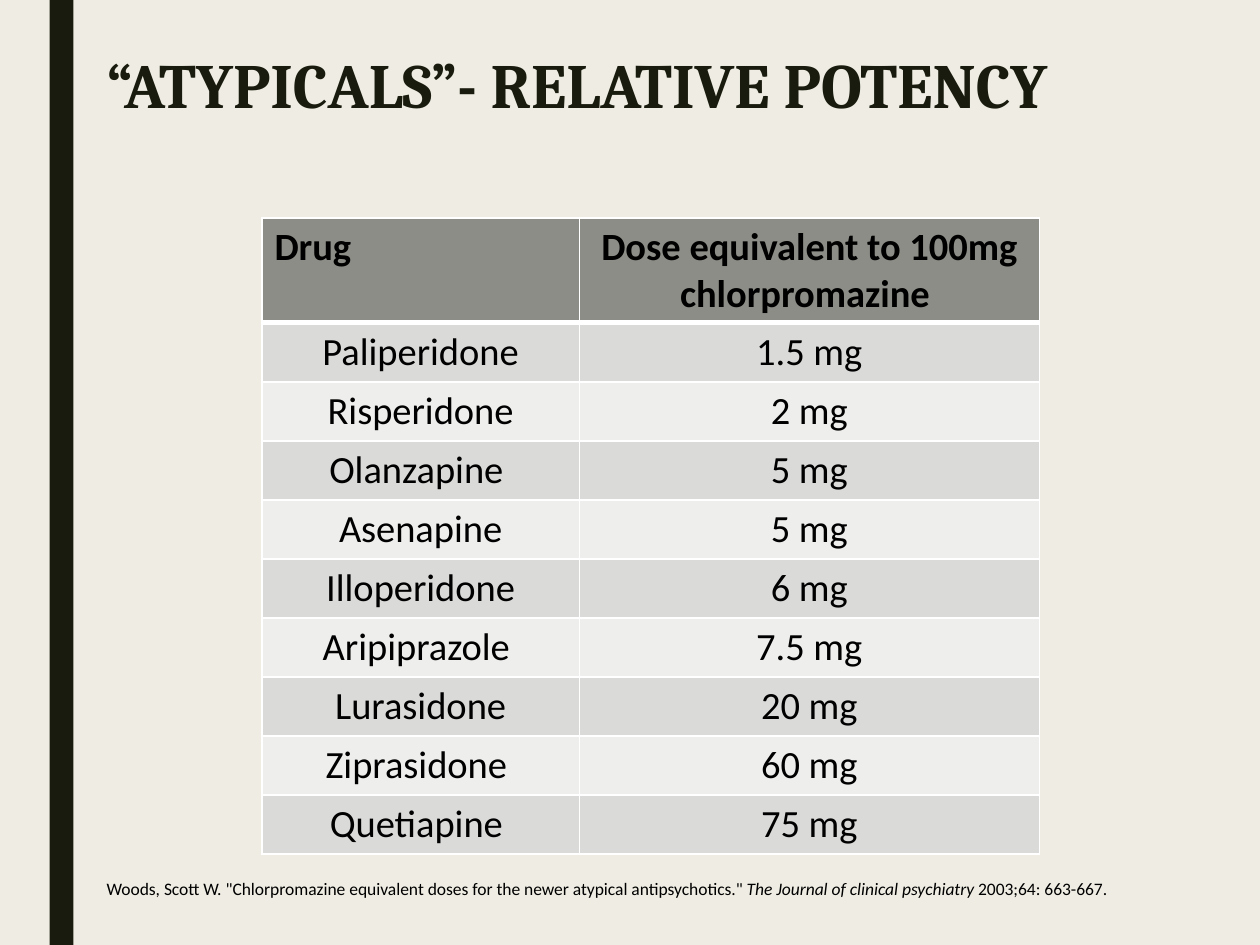
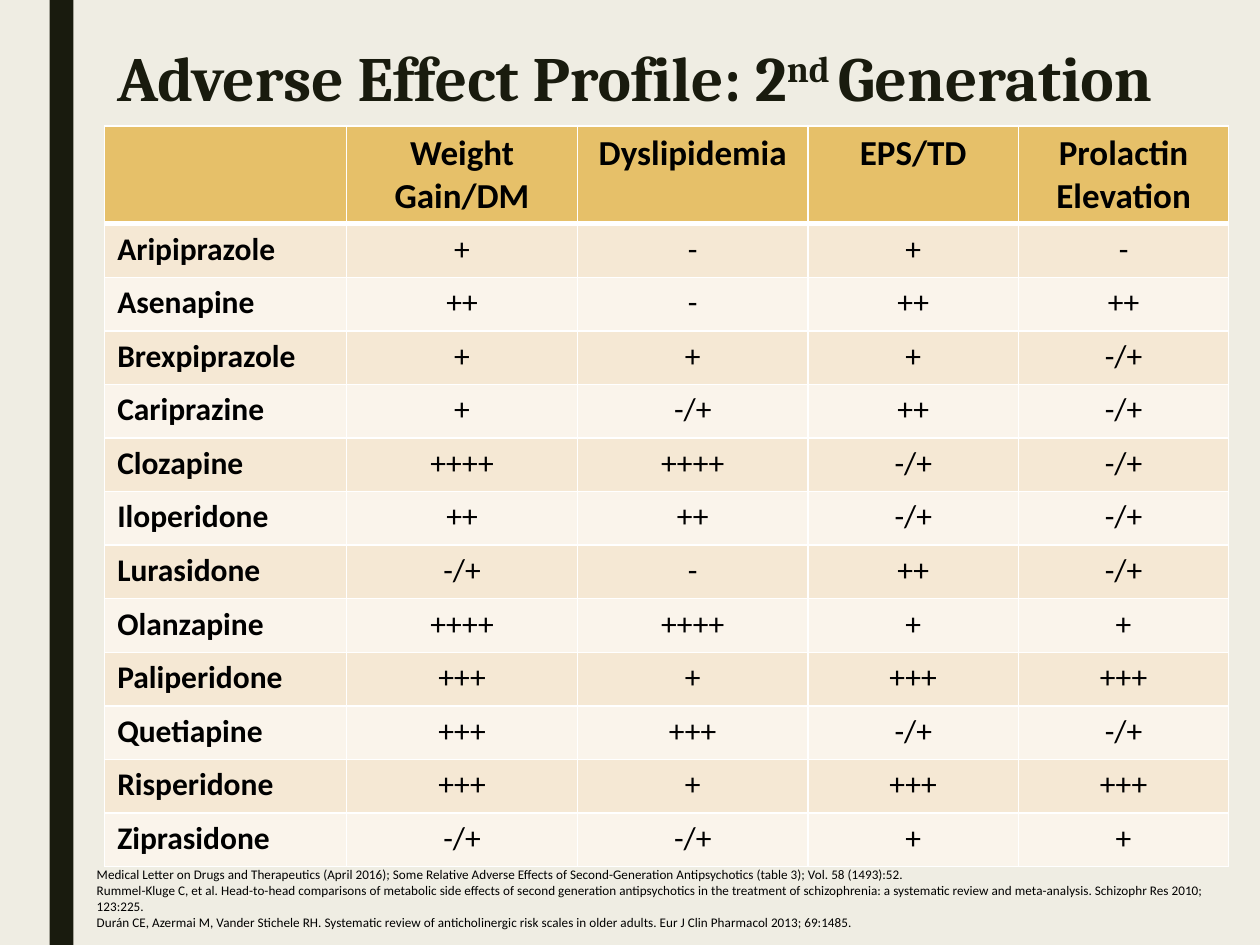
from lxml import etree
from pptx import Presentation
from pptx import util as u
from pptx.dml.color import RGBColor
from pptx.enum import shapes, text
from pptx.oxml import ns

HUES = {
    "page": "EFEDE3", "dark": "191B0E", "ink": "000000", "rule": "FFFFFF",
    "grey": "8C8D86", "grey1": "DADBD9", "grey2": "EEEEED",
    "gold": "E6C069", "gold1": "F5E8D4", "gold2": "FAF4EB",
}
HEAD, BODY = "Cambria", "Calibri"
MID = text.PP_ALIGN.CENTER
LEFT = text.PP_ALIGN.LEFT


def hue(name):
    return RGBColor.from_string(HUES[name])


class Deck:
    def __init__(self):
        self.prs = Presentation()
        self.prs.slide_width, self.prs.slide_height = u.Cm(25.4), u.Cm(19.05)
        self.slide = None

    def page(self):
        """Start a slide with the shared background and side band."""
        self.slide = self.prs.slides.add_slide(self.prs.slide_layouts[6])
        fill = self.slide.background.fill
        fill.solid()
        fill.fore_color.rgb = hue("page")
        band = self.slide.shapes.add_shape(
            shapes.MSO_SHAPE.RECTANGLE, u.Cm(1), 0, u.Cm(0.48), self.prs.slide_height)
        band.shadow.inherit = False
        band.fill.solid()
        band.fill.fore_color.rgb = hue("dark")
        band.line.fill.background()

    def font(self, para, size, bold=False, face=BODY, tint="ink"):
        font = para.font
        font.name, font.size, font.bold = face, u.Pt(size), bold
        font.color.rgb = hue(tint)

    def box(self, left, top, width, height):
        box = self.slide.shapes.add_textbox(*map(u.Cm, (left, top, width, height)))
        box.text_frame.word_wrap = True
        return box.text_frame

    def title(self, parts, left, top, width, height):
        """Each part is a pair: words, raised or not."""
        para = self.box(left, top, width, height).paragraphs[0]
        para.line_spacing = 0.89
        self.font(para, 36, True, HEAD, "dark")
        for words, high in parts:
            run = para.add_run()
            run.text = words
            if high:
                run._r.get_or_add_rPr().set("baseline", "30000")

    def cite(self, lines, size, left, top, width, height):
        """Each line is a list of pairs: words, italic or not."""
        frame = self.box(left, top, width, height)
        for i, line in enumerate(lines):
            para = frame.add_paragraph() if i else frame.paragraphs[0]
            self.font(para, size)
            for words, slant in line:
                run = para.add_run()
                run.text = words
                if slant:
                    run.font.italic = True

    def edges(self, cell, row):
        """White cell borders, heavy under the header row."""
        props = cell._tc.get_or_add_tcPr()
        heavy = {0: "lnB", 1: "lnT"}.get(row)
        for i, side in enumerate(("lnL", "lnR", "lnT", "lnB")):
            line = etree.Element(ns.qn("a:" + side), w=str(u.Pt(3 if side == heavy else 1)))
            fill = etree.SubElement(line, ns.qn("a:solidFill"))
            etree.SubElement(fill, ns.qn("a:srgbClr"), val=HUES["rule"])
            props.insert(i, line)

    def table(self, rows, left, top, wides, highs, tone, sizes, first):
        """highs and sizes: header, body; first: (align, bold) of body column 0."""
        total = highs[0] + highs[1] * (len(rows) - 1)
        grid = self.slide.shapes.add_table(
            len(rows), len(wides), *map(u.Cm, (left, top, sum(wides), total))).table
        grid.first_row = grid.horz_banding = False
        for col, wide in zip(grid.columns, wides):
            col.width = u.Cm(wide)
        for r, row in enumerate(rows):
            grid.rows[r].height = u.Cm(highs[min(r, 1)])
            shade = tone + (str(2 - r % 2) if r else "")
            for c, words in enumerate(row):
                cell = grid.cell(r, c)
                cell.fill.solid()
                cell.fill.fore_color.rgb = hue(shade)
                self.edges(cell, r)
                cell.text = words
                para = cell.text_frame.paragraphs[0]
                if c:
                    para.alignment, bold = MID, r == 0
                else:
                    para.alignment, bold = first if r else (LEFT, True)
                self.font(para, sizes[min(r, 1)], bold)


DOSES = [
    ("Drug", "Dose equivalent to 100mg chlorpromazine "),
    ("Paliperidone", "1.5 mg"),
    ("Risperidone", "2 mg"),
    ("Olanzapine ", "5 mg"),
    ("Asenapine", "5 mg"),
    ("Illoperidone", "6 mg"),
    ("Aripiprazole ", "7.5 mg"),
    ("Lurasidone", "20 mg"),
    ("Ziprasidone ", "60 mg"),
    ("Quetiapine ", "75 mg"),
]
RISKS = [
    ("", "Weight Gain/DM", "Dyslipidemia", "EPS/TD", "Prolactin Elevation"),
    ("Aripiprazole", "+", "-", "+", "-"),
    ("Asenapine", "++", "-", "++", "++"),
    ("Brexpiprazole", "+", "+", "+", "-/+"),
    ("Cariprazine", "+", "-/+", "++", "-/+"),
    ("Clozapine", "++++", "++++", "-/+", "-/+"),
    ("Iloperidone", "++", "++", "-/+", "-/+"),
    ("Lurasidone", "-/+", "-", "++", "-/+"),
    ("Olanzapine", "++++", "++++", "+", "+"),
    ("Paliperidone", "+++", "+", "+++", "+++"),
    ("Quetiapine", "+++", "+++", "-/+", "-/+"),
    ("Risperidone", "+++", "+", "+++", "+++"),
    ("Ziprasidone", "-/+", "-/+", "+", "+"),
]
WORKS = [
    "Medical Letter on Drugs and Therapeutics (April 2016); Some Relative Adverse Effects of "
    "Second-Generation Antipsychotics (table 3); Vol. 58 (1493):52.",
    "Rummel-Kluge C, et al. Head-to-head comparisons of metabolic side effects of second "
    "generation antipsychotics in the treatment of schizophrenia: a systematic review and "
    "meta-analysis. Schizophr Res 2010; 123:225.",
    "Durán CE, Azermai M, Vander Stichele RH. Systematic review of anticholinergic risk scales "
    "in older adults. Eur J Clin Pharmacol 2013; 69:1485.",
]


def main():
    deck = Deck()

    # Relative potency
    deck.page()
    deck.title([("“ATYPICALS”- RELATIVE POTENCY", False)], 1.9, 0.97, 21.56, 3.07)
    deck.cite([[
        ("Woods, Scott W. \"Chlorpromazine equivalent doses for the newer atypical "
         "antipsychotics.\" ", False),
        ("The Journal of clinical psychiatry", True),
        (" 2003;64: 663-667.", False),
    ]], 10, 1.9, 17.58, 22.43, 0.69)
    deck.table(DOSES, 5.28, 4.39, (6.4, 9.27), (2.1, 1.19), "grey", (22, 22), (MID, False))

    # Adverse effects
    deck.page()
    deck.title([("Adverse Effect Profile: 2", False), ("nd ", True), ("Generation", False)],
               2.11, 0.84, 22.66, 4.11)
    deck.table(RISKS, 2.11, 2.54, (4.88, 4.65, 4.65, 4.24, 4.24), (1.97, 1.08), "gold",
               (20, 18), (LEFT, True))
    deck.cite([[(work, False)] for work in WORKS], 7.5, 1.7, 17.35, 23.06, 1.7)

    deck.prs.save("out.pptx")


if __name__ == "__main__":
    main()
